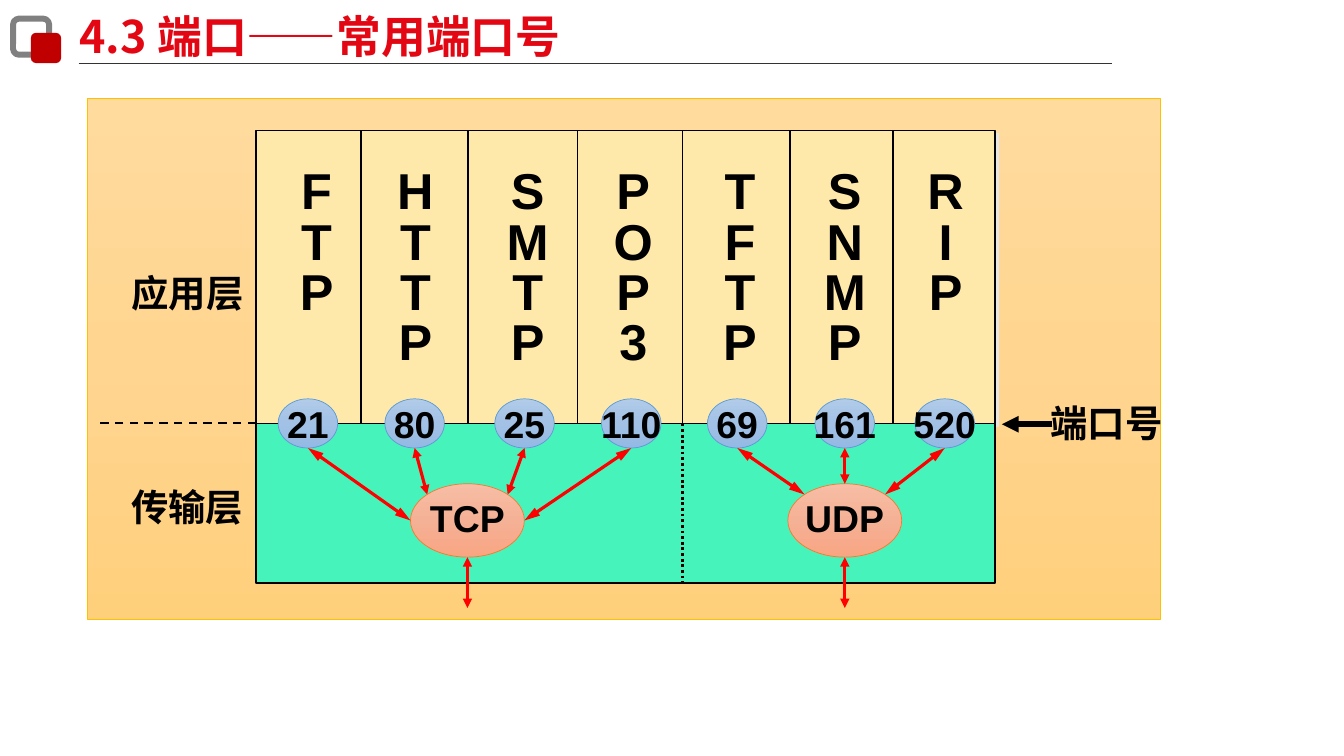
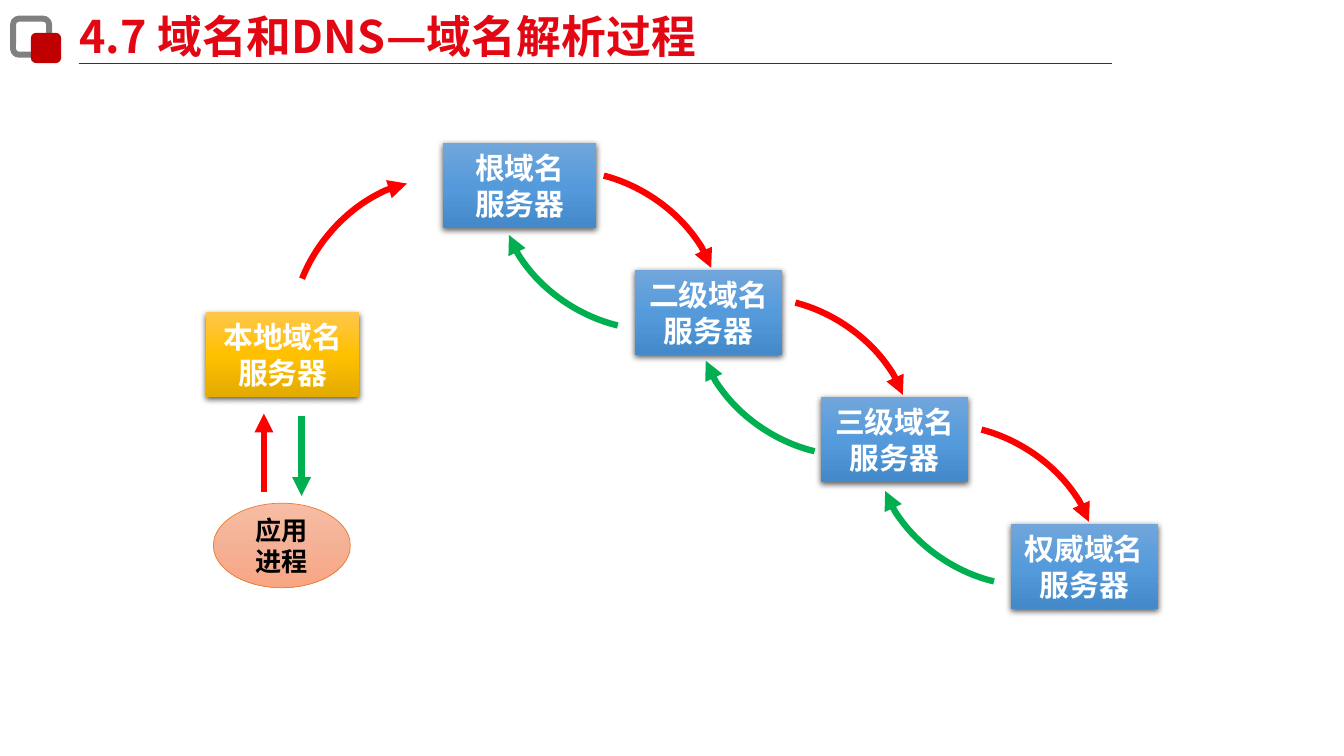
import copy
import math

import pptx
import pptx.dml.color
import pptx.enum.dml
import pptx.enum.shapes
import pptx.enum.text
import pptx.oxml
import pptx.oxml.ns
import pptx.util

Cm = pptx.util.Cm
Pt = pptx.util.Pt
qn = pptx.oxml.ns.qn
SHAPE = pptx.enum.shapes.MSO_SHAPE
ANCHOR = pptx.enum.text.MSO_ANCHOR
ALIGN = pptx.enum.text.PP_ALIGN
DASH = pptx.enum.dml.MSO_LINE

COLORS = {
    "title": "E30613", "rule": "333333", "mark_gray": "808080", "mark_red": "C00000",
    "black": "000000", "white": "FFFFFF", "red": "FF0000", "green": "00B050",
    "application": "FFE9AA", "transport": "45F3BB", "soft_shadow": "E7E6E6",
    "panel_edge": "FFC000", "port_edge": "5B9BD5", "oval_edge": "ED7D31",
}
GRADIENTS = {
    "panel": ("FFDB9E", "FFD590", "FFD07C"),
    "port": ("B1CBE9", "A3C1E5", "93B9E4"),
    "oval": ("F7BDA5", "F5B196", "F8A582"),
    "blue": ("71A6DB", "559BDB", "448ACA"),
    "gold": ("FFC64B", "FFC000", "E3AB00"),
}
LATIN, CHINESE = "Arial", "Noto Sans CJK SC"
SERVER_HEIGHT = 2.13


def rgb(name):
    return pptx.dml.color.RGBColor.from_string(COLORS[name])


def fill_gradient(shape, name):
    """Fill from top to bottom with three evenly spaced stops."""
    shape.fill.gradient()
    shape.fill.gradient_angle = 270
    first = shape._element.spPr.find(".//" + qn("a:gs"))
    first.addnext(copy.deepcopy(first))
    for index, (stop, color) in enumerate(zip(shape.fill.gradient_stops, GRADIENTS[name])):
        stop.position = index / 2
        stop.color.rgb = pptx.dml.color.RGBColor.from_string(color)


def add_shape(slide, kind, box, fill=None, edge=None, weight=0.5):
    shape = slide.shapes.add_shape(kind, *map(Cm, box))
    shape.shadow.inherit = False
    if fill in GRADIENTS:
        fill_gradient(shape, fill)
    elif fill:
        shape.fill.solid()
        shape.fill.fore_color.rgb = rgb(fill)
    else:
        shape.fill.background()
    if edge:
        shape.line.color.rgb = rgb(edge)
        shape.line.width = Pt(weight)
    else:
        shape.line.fill.background()
    return shape


def cast_shadow(shape, color, opacity, blur, distance, angle):
    effects = shape._element.spPr.find(qn("a:effectLst"))
    shadow = pptx.oxml.parse_xml(
        f'<a:outerShdw {pptx.oxml.ns.nsdecls("a")} blurRad="{Pt(blur)}" dist="{Pt(distance)}" '
        f'dir="{angle * 60000}" rotWithShape="0"><a:srgbClr val="{COLORS[color]}">'
        f'<a:alpha val="{opacity * 1000}"/></a:srgbClr></a:outerShdw>')
    effects.append(shadow)


def add_heads(shape, ends, length="med"):
    line = shape._element.spPr.find(qn("a:ln"))
    for end in ends:
        line.append(pptx.oxml.parse_xml(
            f'<a:{end} {pptx.oxml.ns.nsdecls("a")} type="triangle" len="{length}"/>'))


def add_line(slide, start, end, color="black", weight=1, dash=None, heads=(), length="med"):
    connector = slide.shapes.add_connector(
        pptx.enum.shapes.MSO_CONNECTOR.STRAIGHT, *map(Cm, (*start, *end)))
    connector.line.color.rgb = rgb(color)
    connector.line.width = Pt(weight)
    if dash:
        connector.line.dash_style = dash
    add_heads(connector, heads, length)
    connector._element.spPr.append(
        pptx.oxml.parse_xml(f'<a:effectLst {pptx.oxml.ns.nsdecls("a")}/>'))


def add_run(paragraph, text, size, color, latin):
    run = paragraph.add_run()
    run.text = text
    run.font.size = Pt(size)
    run.font.bold = True
    run.font.name = latin
    run.font.color.rgb = rgb(color)
    run._r.rPr.find(qn("a:latin")).addnext(pptx.oxml.parse_xml(
        f'<a:ea {pptx.oxml.ns.nsdecls("a")} typeface="{CHINESE}"/>'))


def write(shape, lines, size, color="black", latin=LATIN, spacing=None,
          insets=(0, 0.13), wrap=False, anchor=ANCHOR.MIDDLE):
    """Write one centred paragraph for each line."""
    frame = shape.text_frame
    frame.word_wrap = wrap
    frame.vertical_anchor = anchor
    frame.margin_left = frame.margin_right = Cm(insets[0])
    frame.margin_top = frame.margin_bottom = Cm(insets[1])
    for index, text in enumerate(lines):
        paragraph = frame.add_paragraph() if index else frame.paragraphs[0]
        paragraph.alignment = ALIGN.CENTER
        if spacing:
            paragraph.line_spacing = Pt(spacing)
        add_run(paragraph, text, size, color, latin)


def add_label(slide, box, lines, size, spacing):
    label = slide.shapes.add_textbox(*map(Cm, box))
    write(label, lines, size, spacing=spacing, insets=(0.08, 0.1), anchor=ANCHOR.TOP)


def add_titled_slide(presentation, text):
    slide = presentation.slides.add_slide(presentation.slide_layouts[5])
    add_shape(slide, SHAPE.ROUNDED_RECTANGLE, (0.33, 0.47, 0.91, 0.91),
              edge="mark_gray", weight=4.25)
    add_shape(slide, SHAPE.ROUNDED_RECTANGLE, (0.78, 0.83, 0.76, 0.76), "mark_red")
    add_line(slide, (1.98, 1.6), (28.02, 1.6), "rule", 0.5)
    title = slide.shapes.title
    title.left, title.top, title.width, title.height = map(Cm, (1.75, 0.09, 22.33, 1.63))
    frame = title.text_frame
    frame.auto_size = pptx.enum.text.MSO_AUTO_SIZE.NONE
    frame.vertical_anchor = ANCHOR.TOP
    paragraph = frame.paragraphs[0]
    paragraph.alignment = ALIGN.LEFT
    add_run(paragraph, text, 32, "title", CHINESE)
    return slide


def add_port_diagram(slide, box):
    left, top = box[:2]

    def at(x, y, *size):
        return (left + x, top + y, *size)

    add_shape(slide, SHAPE.RECTANGLE, box, "panel", "panel_edge")
    edge_left, edge_right, roof, border, floor = 4.24, 22.87, 0.8, 8.18, 12.2
    rip_left, udp_left = 20.3, 14.99
    for start, end in ((edge_left, rip_left), (rip_left, edge_right)):
        cell = add_shape(slide, SHAPE.RECTANGLE, at(start, roof, end - start, border - roof),
                         "application", "black", 1)
        cast_shadow(cell, "soft_shadow", 100, 0, 2.8, 45)
    add_shape(slide, SHAPE.RECTANGLE,
              at(edge_left, border, edge_right - edge_left, floor - border),
              "transport", "black", 1)
    for x in (6.89, 9.58, 12.34, udp_left, 17.7):
        add_line(slide, at(x, roof), at(x, border))
    add_line(slide, at(udp_left, border), at(udp_left, floor), weight=2, dash=DASH.ROUND_DOT)
    add_line(slide, at(edge_left, border), at(0.18, border), weight=1.5, dash=DASH.DASH)
    add_line(slide, at(24.31, 8.2), at(23.04, 8.2), weight=4, heads=("tailEnd",))
    for text, x, y, width in (("应用层", 0.82, 4.24, 3.4), ("传输层", 0.81, 9.63, 3.4),
                              ("端口号", 24.18, 7.51, 3)):
        add_label(slide, at(x, y, width, 1.3), [text], 26.7, 31.5)

    # protocol, port, label centre, port centre
    port_width, port_height = 1.5, 1.24
    columns = (("FTP", "21", 5.77, 5.55), ("HTTP", "80", 8.26, 8.24),
               ("SMTP", "25", 11.09, 11.01), ("POP3", "110", 13.75, 13.7),
               ("TFTP", "69", 16.44, 16.37), ("SNMP", "161", 19.08, 19.08),
               ("RIP", "520", 21.62, 21.6))
    for protocol, port, label_x, port_x in columns:
        add_label(slide, at(label_x - 0.8, 1.68, 1.6, 5.3), protocol, 36, 36)
        circle = add_shape(slide, SHAPE.OVAL,
                           at(port_x - port_width / 2, border - port_height / 2,
                              port_width, port_height), "port", "port_edge")
        write(circle, [port], 26.7, insets=(0.38, 0.2))

    # transport, centre, its columns, angle at which each arrow meets the oval
    oval_width, oval_height, oval_top = 2.87, 1.85, 9.7
    both = ("headEnd", "tailEnd")
    for name, center, members, angles in (("TCP", 9.57, columns[:4], (180, 135, 45, 0)),
                                          ("UDP", 19.08, columns[4:], (135, 90, 45))):
        oval = add_shape(slide, SHAPE.OVAL,
                         at(center - oval_width / 2, oval_top, oval_width, oval_height),
                         "oval", "oval_edge")
        write(oval, [name], 26.7, spacing=28.5, wrap=True)
        for column, angle in zip(members, map(math.radians, angles)):
            x = center + oval_width / 2 * math.cos(angle)
            y = oval_top + oval_height / 2 * (1 - math.sin(angle))
            outermost = column in (members[0], members[-1])
            add_line(slide, at(column[3], border + port_height / 2), at(x, y),
                     "red", 2.25, heads=both, length="lg" if outermost else "med")
        add_line(slide, at(center, oval_top + oval_height), at(center, 12.83),
                 "red", 2.25, heads=both)


def add_server(slide, left, top, width, name, fill):
    server = add_shape(slide, SHAPE.RECTANGLE, (left, top, width, SERVER_HEIGHT), fill)
    cast_shadow(server, "black", 63, 4.5, 1.5, 90)
    write(server, [name, "服务器"], 21.3, "white", CHINESE, wrap=True)


def add_curved_arrow(slide, left, top, rotation, color):
    arc = add_shape(slide, SHAPE.ARC, (left, top, 5.97, 4.11), edge=color, weight=4.5)
    for index, value in enumerate((141.02, 197.24)):
        arc.adjustments[index] = value
    arc.rotation = rotation
    add_heads(arc, ("tailEnd",))


def add_resolution_diagram(slide, left, top):
    process = add_shape(slide, SHAPE.OVAL, (left + 0.18, top + 9.07, 3.45, SERVER_HEIGHT),
                        "oval", "oval_edge")
    write(process, ["应用", "进程"], 18.7, latin=CHINESE, wrap=True)
    add_server(slide, left, top + 4.26, 3.86, "本地域名", "gold")
    for x, start, end, color in ((1.45, 8.79, 6.81, "red"), (2.4, 6.86, 8.89, "green")):
        add_line(slide, (left + x, top + start), (left + x, top + end), color, 4.5,
                 heads=("tailEnd",))
    add_curved_arrow(slide, left + 1.68, top + 1.55, 309.9, "red")

    # name, offset, width, offset of the green arrow that returns to it
    servers = (("根域名", 5.97, 3.86, (1.29, 0.28)), ("二级域名", 10.8, 3.71, (1.42, 0.25)),
               ("三级域名", 15.49, 3.71, (1.25, 0.33)), ("权威域名", 20.27, 3.71, None))
    for level, (name, x, width, reply) in enumerate(servers):
        server_left, server_top = left + x, top + 3.2 * level
        add_server(slide, server_left, server_top, width, name, "blue")
        if reply:
            add_curved_arrow(slide, server_left + 1.15, server_top + 1.02, 32.7, "red")
            add_curved_arrow(slide, server_left + reply[0], server_top + reply[1],
                             211.8, "green")


def main():
    presentation = pptx.Presentation()
    presentation.slide_width, presentation.slide_height = Cm(33.87), Cm(19.05)
    add_port_diagram(add_titled_slide(presentation, "4.3 端口——常用端口号"),
                     (2.21, 2.49, 27.03, 13.13))
    add_resolution_diagram(add_titled_slide(presentation, "4.7 域名和DNS—域名解析过程"),
                           5.2, 3.61)
    presentation.save("out.pptx")


if __name__ == "__main__":
    main()
